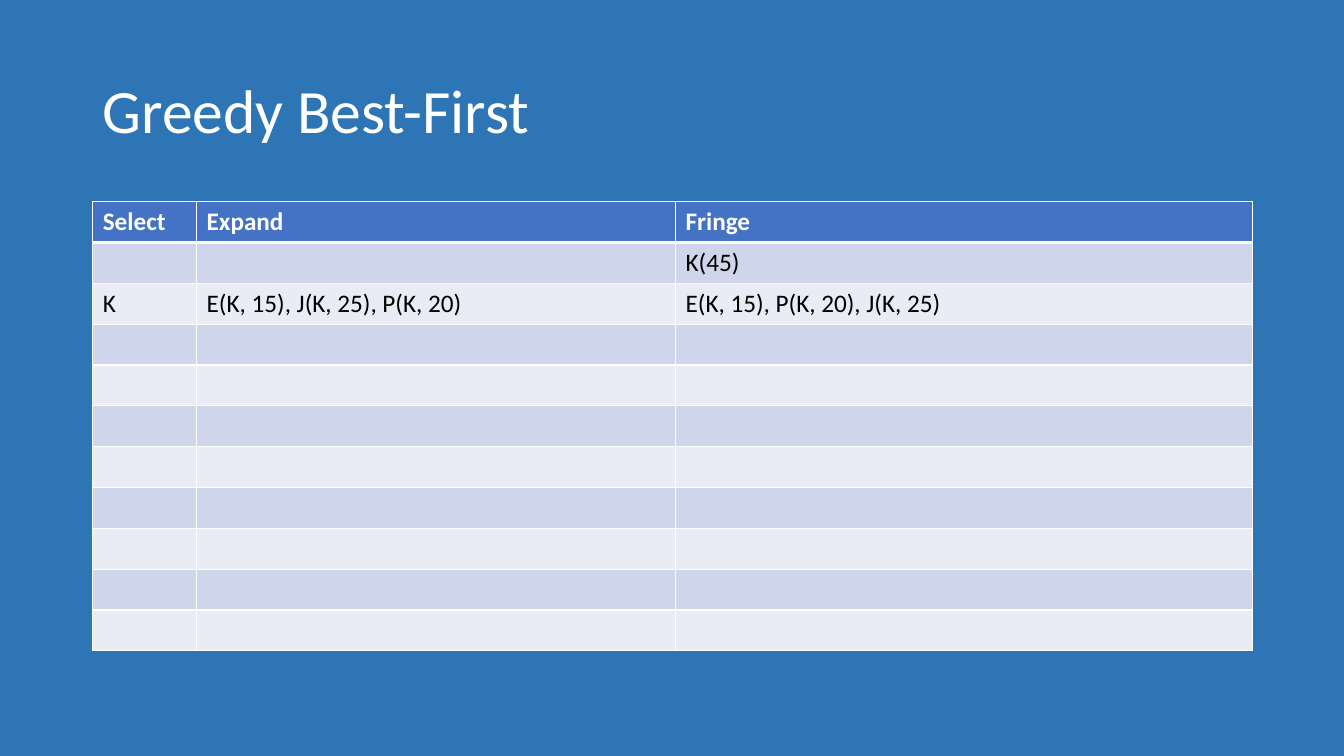
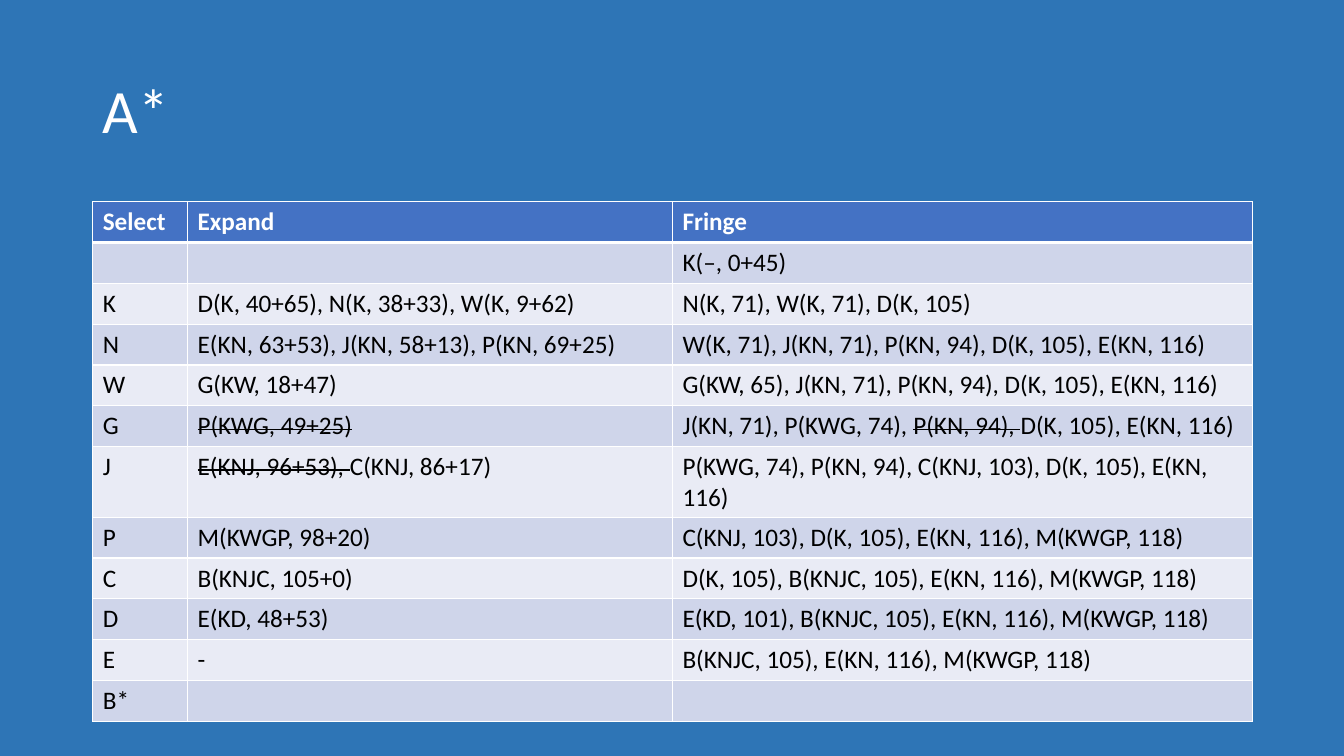
from lxml.etree import SubElement
from pptx import Presentation
from pptx.dml.color import RGBColor
from pptx.enum.text import MSO_ANCHOR
from pptx.oxml.ns import qn
from pptx.util import Inches, Pt

HEADINGS = ("Select", "Expand", "Fringe")
STRIKE = "~"  # encloses struck-through text

GREEDY_STEPS = [
    ("", "", "K(45)"),
    ("K", "E(K, 15), J(K, 25), P(K, 20)", "E(K, 15), P(K, 20), J(K, 25)"),
] + [("", "", "")] * 8

A_STAR_STEPS = [
    ("", "", "K(–, 0+45)"),
    ("K", "D(K, 40+65), N(K, 38+33), W(K, 9+62)", "N(K, 71), W(K, 71), D(K, 105)"),
    ("N", "E(KN, 63+53), J(KN, 58+13), P(KN, 69+25)",
     "W(K, 71), J(KN, 71), P(KN, 94), D(K, 105), E(KN, 116)"),
    ("W", "G(KW, 18+47)", "G(KW, 65), J(KN, 71), P(KN, 94), D(K, 105), E(KN, 116)"),
    ("G", "~P(KWG, 49+25)~",
     "J(KN, 71), P(KWG, 74), ~P(KN, 94), ~D(K, 105), E(KN, 116)"),
    ("J", "~E(KNJ, 96+53), ~C(KNJ, 86+17)",
     "P(KWG, 74), P(KN, 94), C(KNJ, 103), D(K, 105), E(KN, 116)"),
    ("P", "M(KWGP, 98+20)", "C(KNJ, 103), D(K, 105), E(KN, 116), M(KWGP, 118)"),
    ("C", "B(KNJC, 105+0)", "D(K, 105), B(KNJC, 105), E(KN, 116), M(KWGP, 118)"),
    ("D", "E(KD, 48+53)", "E(KD, 101), B(KNJC, 105), E(KN, 116), M(KWGP, 118)"),
    ("E", "-", "B(KNJC, 105), E(KN, 116), M(KWGP, 118)"),
    ("B*", "", ""),
]


def color(value):
    return RGBColor.from_string(value)


class Deck:
    """Holds the shared style and the current page."""

    FONT = "Calibri"
    BACKGROUND, HEADER = "2E75B6", "4472C4"
    BANDS = ("CFD5EA", "E9EBF5")
    WHITE, BLACK = "FFFFFF", "000000"
    LEFT, WIDTH = Inches(0.92), Inches(11.5)
    ROW_HEIGHT = Inches(4.46 / 11)

    def __init__(self):
        self.deck = Presentation()
        self.deck.slide_width = Inches(13.33)
        self.deck.slide_height = Inches(7.5)

    def add_page(self, title):
        self.page = self.deck.slides.add_slide(self.deck.slide_layouts[6])
        fill = self.page.background.fill
        fill.solid()
        fill.fore_color.rgb = color(self.BACKGROUND)
        self.add_title(title)

    def style(self, para, size, ink, bold=False):
        font = para.font
        font.name, font.size, font.bold = self.FONT, Pt(size), bold
        font.color.rgb = color(ink)

    def add_title(self, text):
        box = self.page.shapes.add_textbox(self.LEFT, Inches(0.4), self.WIDTH, Inches(1.45))
        frame = box.text_frame
        frame.word_wrap = True
        frame.vertical_anchor = MSO_ANCHOR.MIDDLE
        para = frame.paragraphs[0]
        para.text = text
        para.line_spacing = 0.9
        self.style(para, 44, self.WHITE)

    def add_borders(self, cell, top, bottom):
        """Draw white cell edges; top and bottom are widths in points."""
        properties = cell._tc.get_or_add_tcPr()
        for side, width in (("L", 1), ("R", 1), ("T", top), ("B", bottom)):
            line = SubElement(properties, qn(f"a:ln{side}"), w=str(Pt(width)))
            fill = SubElement(line, qn("a:solidFill"))
            SubElement(fill, qn("a:srgbClr"), val=self.WHITE)

    def fill_cell(self, cell, text, row):
        header = row == 0
        self.add_borders(cell, 3 if row == 1 else 1, 3 if header else 1)
        cell.fill.solid()
        cell.fill.fore_color.rgb = color(self.HEADER if header else self.BANDS[(row - 1) % 2])
        para = cell.text_frame.paragraphs[0]
        for index, part in enumerate(text.split(STRIKE)):
            if part:
                span = para.add_run()
                span.text = part
                if index % 2:
                    span._r.get_or_add_rPr().set("strike", "sngStrike")
        self.style(para, 18, self.WHITE if header else self.BLACK, header)

    def add_steps(self, steps, widths):
        rows = [HEADINGS] + steps
        table = self.page.shapes.add_table(
            len(rows), len(widths), self.LEFT, Inches(2), self.WIDTH,
            self.ROW_HEIGHT * len(rows)).table
        for column, width in zip(table.columns, widths):
            column.width = Inches(width)
        for r, texts in enumerate(rows):
            table.rows[r].height = self.ROW_HEIGHT
            for c, text in enumerate(texts):
                self.fill_cell(table.cell(r, c), text, r)


def main():
    slides = Deck()
    slides.add_page("Greedy Best-First")
    slides.add_steps(GREEDY_STEPS, (1.03, 4.75, 5.72))
    slides.add_page("A*")
    slides.add_steps(A_STAR_STEPS, (0.94, 4.81, 5.75))
    slides.deck.save("out.pptx")


if __name__ == "__main__":
    main()
